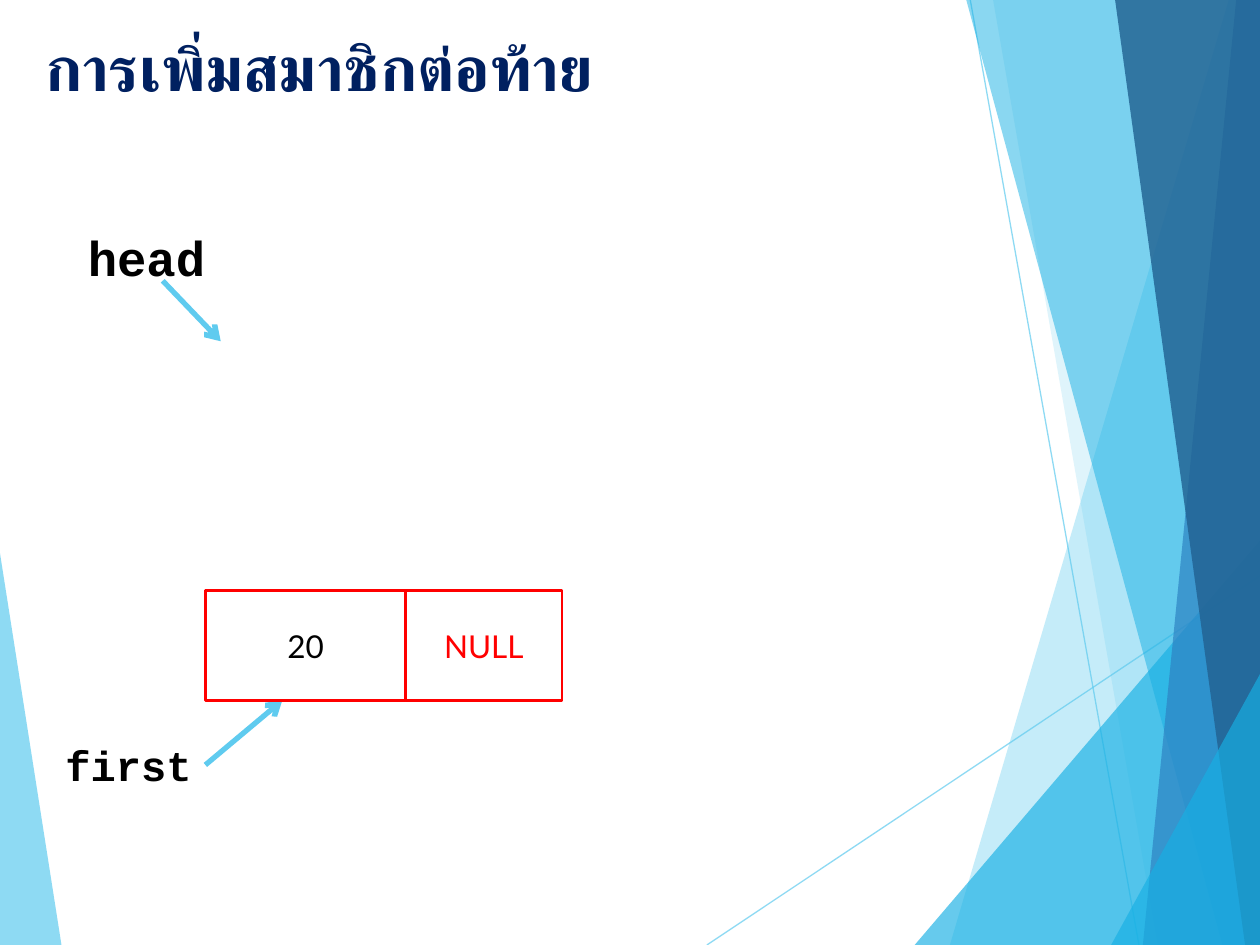
from lxml import etree
from pptx import Presentation
from pptx.dml.color import RGBColor
from pptx.enum.shapes import MSO_CONNECTOR, MSO_SHAPE
from pptx.enum.text import MSO_ANCHOR, PP_ALIGN
from pptx.oxml.ns import qn
from pptx.util import Cm, Pt

STRAIGHT = MSO_CONNECTOR.STRAIGHT
RECTANGLE = MSO_SHAPE.RECTANGLE
MIDDLE = MSO_ANCHOR.MIDDLE
CENTER = PP_ALIGN.CENTER
WIDTH, HEIGHT = 25.4, 19.05


class Theme:
    SKY, CYAN, BLUE, NAVY = "5FCBEF", "17B0E4", "2E83C3", "226292"
    RED, BLACK = "FF0000", "000000"
    TITLE = {"name": "Calibri", "size": Pt(36), "bold": True, "color": "002060"}
    HEAD = {"name": "Courier New", "size": Pt(28), "bold": True, "color": BLACK}
    FIRST = {**HEAD, "size": Pt(24)}
    VALUE = {"name": "Lato", "size": Pt(18), "color": BLACK}
    NULL = {**VALUE, "color": RED}
    HAIRLINE, BORDER, ARROW = Pt(0.75), Pt(1.5), Pt(3)


class SlideBuilder:
    def __init__(self, slide, theme):
        self.slide = slide
        self.theme = theme

    def set_alpha(self, shape, percent):
        for color in shape._element.spPr.iter(qn("a:srgbClr")):
            etree.SubElement(color, qn("a:alpha"), val=str(percent * 1000))

    def add_text(self, shape, text, text_format):
        run = shape.text_frame.paragraphs[0].add_run()
        run.text = text
        for key, value in text_format.items():
            if key == "color":
                run.font.color.rgb = RGBColor.from_string(value)
            else:
                setattr(run.font, key, value)

    def facet(self, points, color, opacity):
        corners = [(Cm(x), Cm(y)) for x, y in points]
        builder = self.slide.shapes.build_freeform(*corners[0])
        builder.add_line_segments(corners[1:], close=True)
        shape = builder.convert_to_shape()
        shape.shadow.inherit = False
        shape.fill.solid()
        shape.fill.fore_color.rgb = RGBColor.from_string(color)
        shape.line.fill.background()
        self.set_alpha(shape, opacity)

    def line(self, start, end, width, opacity=None, arrow=False):
        ends = [Cm(value) for value in (*start, *end)]
        connector = self.slide.shapes.add_connector(STRAIGHT, *ends)
        connector.line.width = width
        connector.line.color.rgb = RGBColor.from_string(self.theme.SKY)
        properties = connector._element.spPr
        etree.SubElement(properties, qn("a:effectLst"))
        if opacity:
            self.set_alpha(connector, opacity)
        if arrow:
            etree.SubElement(properties.find(qn("a:ln")), qn("a:tailEnd"), type="arrow")

    def label(self, box, text, text_format, wrap=False):
        shape = self.slide.shapes.add_textbox(*[Cm(value) for value in box])
        shape.text_frame.word_wrap = wrap
        self.add_text(shape, text, text_format)

    def cell(self, box, text, text_format):
        shape = self.slide.shapes.add_shape(RECTANGLE, *[Cm(value) for value in box])
        shape.shadow.inherit = False
        shape.fill.background()
        shape.line.width = self.theme.BORDER
        shape.line.color.rgb = RGBColor.from_string(self.theme.RED)
        shape.text_frame.vertical_anchor = MIDDLE
        shape.text_frame.paragraphs[0].alignment = CENTER
        self.add_text(shape, text, text_format)


def main():
    presentation = Presentation()
    presentation.slide_width, presentation.slide_height = Cm(WIDTH), Cm(HEIGHT)
    theme = Theme()
    slide = presentation.slides.add_slide(presentation.slide_layouts[6])
    builder = SlideBuilder(slide, theme)

    # Left wedge and thin background lines
    builder.facet([(0, 11.15), (1.24, HEIGHT), (0, HEIGHT)], theme.SKY, 70)
    builder.line((14.25, HEIGHT), (WIDTH, 11.61), theme.HAIRLINE, opacity=70)
    builder.line((19.56, 0), (22.96, HEIGHT), theme.HAIRLINE, opacity=70)

    # Right facets: top corner, x at bottom; each runs to the right edge
    bands = [
        (24.77, 0, 19.15, theme.SKY, 36),
        (20.02, 0, 23.34, theme.SKY, 20),
        (WIDTH, 10.9, 18.44, theme.CYAN, 66),
        (19.48, 0, 24.64, theme.CYAN, 50),
        (24.92, 0, 23.04, theme.BLUE, 70),
        (22.48, 0, 25.1, theme.NAVY, 82),
        (WIDTH, 13.59, 22.4, theme.CYAN, 66),
    ]
    for top_x, top_y, bottom_x, color, opacity in bands:
        points = [(top_x, top_y), (bottom_x, HEIGHT), (WIDTH, HEIGHT)]
        if top_x < WIDTH:
            points.append((WIDTH, top_y))
        builder.facet(points, color, opacity)

    # Title
    builder.label((0.66, 0.46, 12.62, 2.36), "การเพิ่มสมาชิกต่อท้าย", theme.TITLE, wrap=True)

    # Pointers
    builder.line((3.28, 5.66), (4.45, 6.88), theme.ARROW, arrow=True)
    builder.label((1.52, 4.47, 3.51, 1.45), "head", theme.HEAD)
    builder.label((1.07, 14.78, 3.07, 1.27), "first", theme.FIRST)
    builder.line((4.14, 15.42), (5.69, 14.12), theme.ARROW, arrow=True)

    # List node: value and next link
    left = 4.14
    for width, text, text_format in [(4.04, "20", theme.VALUE), (3.15, "NULL", theme.NULL)]:
        builder.cell((left, 11.91, width, 2.21), text, text_format)
        left += width

    presentation.save("out.pptx")


if __name__ == "__main__":
    main()
